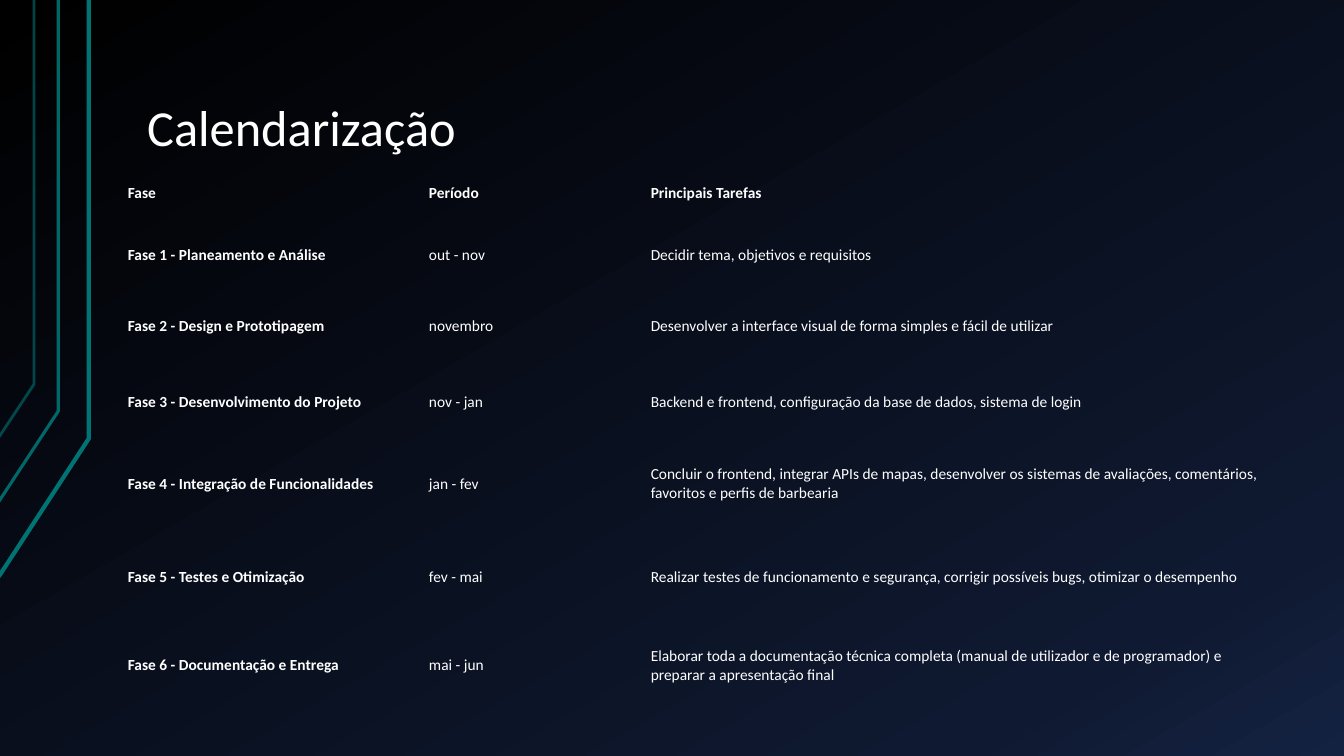
from dataclasses import dataclass
from typing import Any

from lxml import etree
from pptx import Presentation
from pptx import util as u
from pptx.dml import color as col
from pptx.enum import text as t
from pptx.oxml import ns


@dataclass(frozen=True)
class Theme:
    font: str = "Calibri"
    ink: str = "FFFFFF"
    teal: str = "007373"
    back: tuple[tuple[int, str], ...] = ((0, "000000"), (85, "0F1931"), (100, "142242"))
    angle: int = 60
    head: int = 36
    body: int = 11


@dataclass(frozen=True)
class Rail:
    """A bent line: x of its upright, y of its bend, and its lower end."""
    x: float
    bend: float
    end: tuple[float, float]
    width: float
    alpha: int


@dataclass(frozen=True)
class Phase:
    name: str
    span: str
    tasks: str
    height: float


THEME = Theme()

RAILS = (
    Rail(2.24, 11.05, (-0.03, 14.53), 3, 100),
    Rail(1.47, 10.36, (-0.05, 12.67), 2.25, 90),
    Rail(0.86, 9.68, (-0.03, 11.02), 2, 60),
)

WIDTHS = (7.59, 5.59, 15.82)
PHASES = (
    Phase("Fase", "Período", "Principais Tarefas", 1.42),
    Phase("Fase 1 - Planeamento e Análise", "out - nov",
          "Decidir tema, objetivos e requisitos", 1.7),
    Phase("Fase 2 - Design e Prototipagem", "novembro",
          "Desenvolver a interface visual de forma simples e fácil de utilizar", 1.88),
    Phase("Fase 3 - Desenvolvimento do Projeto", "nov - jan",
          "Backend e frontend, configuração da base de dados, sistema de login", 1.93),
    Phase("Fase 4 - Integração de Funcionalidades", "jan - fev",
          "Concluir o frontend, integrar APIs de mapas, desenvolver os sistemas de "
          "avaliações, comentários, favoritos e perfis de barbearia", 2.18),
    Phase("Fase 5 - Testes e Otimização", "fev - mai",
          "Realizar testes de funcionamento e segurança, corrigir possíveis bugs, "
          "otimizar o desempenho", 2.51),
    Phase("Fase 6 - Documentação e Entrega", "mai - jun",
          "Elaborar toda a documentação técnica completa (manual de utilizador e de "
          "programador) e preparar a apresentação final", 1.96),
)


def write(host: Any, frame: Any, text: str, *, size: int, bold: bool = False,
          anchor: Any = t.MSO_ANCHOR.MIDDLE, pad: tuple[float, float] = (0.1, 0.05),
          lead: float = 1.0) -> None:
    """Set text in a frame; host (cell or frame) holds margins and anchor."""
    host.margin_left = host.margin_right = u.Cm(pad[0])
    host.margin_top = host.margin_bottom = u.Cm(pad[1])
    host.vertical_anchor = anchor
    frame.word_wrap = True
    para = frame.paragraphs[0]
    para.line_spacing = lead
    run = para.add_run()
    run.text = text
    run.font.name = THEME.font
    run.font.size = u.Pt(size)
    run.font.bold = bold
    run.font.color.rgb = col.RGBColor.from_string(THEME.ink)


def paint(slide: Any) -> None:
    """Fill the background with the three-stop gradient."""
    slide.background.fill.gradient()
    grad = slide.element.find(".//" + ns.qn("a:gradFill"))
    stops = grad.find(ns.qn("a:gsLst"))
    for old in list(stops):
        stops.remove(old)
    for pos, tone in THEME.back:
        stop = etree.SubElement(stops, ns.qn("a:gs"), pos=str(pos * 1000))
        etree.SubElement(stop, ns.qn("a:srgbClr"), val=tone)
    grad.find(ns.qn("a:lin")).set("ang", str(THEME.angle * 60000))


def draw_rail(slide: Any, rail: Rail) -> None:
    points = [(u.Cm(x), u.Cm(y)) for x, y in
              (rail.end, (rail.x, rail.bend), (rail.x, 0))]
    pen = slide.shapes.build_freeform(*points[0])
    pen.add_line_segments(points[1:], close=False)
    shape = pen.convert_to_shape()
    shape.shadow.inherit = False
    shape.fill.background()
    shape.line.width = u.Pt(rail.width)
    shape.line.color.rgb = col.RGBColor.from_string(THEME.teal)
    if rail.alpha < 100:
        tone = shape.element.find(".//" + ns.qn("a:ln")).find(".//" + ns.qn("a:srgbClr"))
        etree.SubElement(tone, ns.qn("a:alpha"), val=str(rail.alpha * 1000))


def draw_table(slide: Any) -> None:
    frame = slide.shapes.add_table(
        len(PHASES), len(WIDTHS), u.Cm(3.12), u.Cm(4.17),
        u.Cm(sum(WIDTHS)), u.Cm(sum(p.height for p in PHASES)))
    table = frame.table
    table.first_row = table.horz_banding = False
    # Plain table style without grid lines
    style = frame.element.find(".//" + ns.qn("a:tableStyleId"))
    style.text = "{2D5ABB26-0587-4C30-8999-92F81FD0307C}"
    for c, width in enumerate(WIDTHS):
        table.columns[c].width = u.Cm(width)
    for r, phase in enumerate(PHASES):
        table.rows[r].height = u.Cm(phase.height)
        for c, text in enumerate((phase.name, phase.span, phase.tasks)):
            cell = table.cell(r, c)
            cell.fill.background()
            write(cell, cell.text_frame, text, size=THEME.body, bold=r == 0 or c == 0)


def main() -> None:
    deck = Presentation()
    deck.slide_width, deck.slide_height = u.Cm(33.87), u.Cm(19.05)
    slide = deck.slides.add_slide(deck.slide_layouts[6])

    # Background and side lines
    paint(slide)
    for rail in RAILS:
        draw_rail(slide, rail)

    # Title
    box = slide.shapes.add_textbox(u.Cm(3.38), u.Cm(0.76), u.Cm(28.78), u.Cm(3.4))
    write(box.text_frame, box.text_frame, "Calendarização", size=THEME.head,
          anchor=t.MSO_ANCHOR.BOTTOM, pad=(0.33, 0.18), lead=0.9)

    # Schedule
    draw_table(slide)
    deck.save("out.pptx")


if __name__ == "__main__":
    main()
